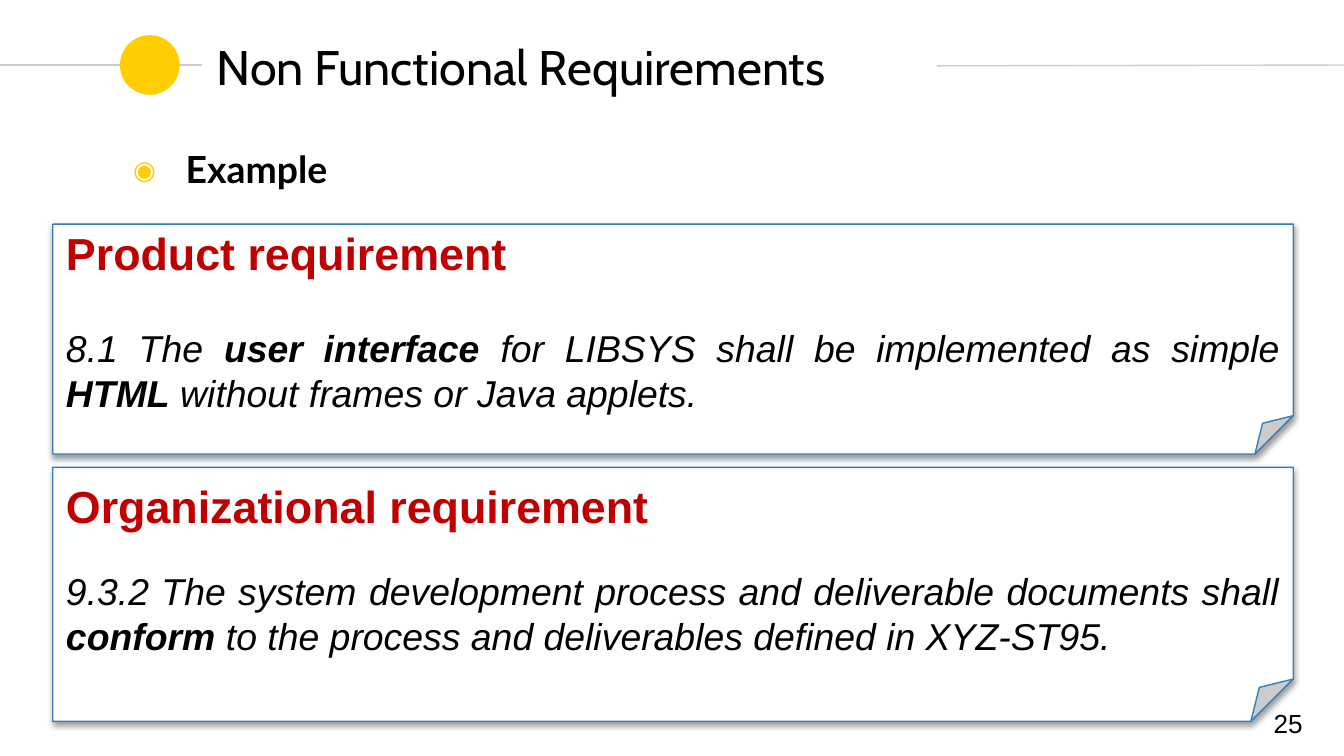
from lxml import etree
from pptx import Presentation
from pptx import util as u
from pptx.dml.color import RGBColor
from pptx.enum import shapes, text
from pptx.oxml import ns

COLUMN = ROW = u.Inches(0.1)
COLUMNS, ROWS = 100, 56.25
BLACK, YELLOW, RED, BLUE, GREY = "000000", "FFCD00", "C00000", "367EB9", "CCCCCC"

CARDS = [
    ((3.93, 16.68, 92.3, 17.1), 1.0, 24.5, "Product requirement",
     [("8.1 The ", False), ("user interface ", True),
      ("for LIBSYS shall be implemented as simple ", False),
      ("HTML", True), (" without frames or Java applets.", False)]),
    ((3.93, 34.77, 92.3, 18.9), 0.8, 19.5, "Organizational requirement",
     [("9.3.2 The system development process and deliverable documents shall ", False),
      ("conform", True),
      (" to the process and deliverables defined in XYZ-ST95.", False)]),
]


def color(value):
    return RGBColor.from_string(value)


def place(box):
    left, top, width, height = box
    return (round(left * COLUMN), round(top * ROW),
            round(width * COLUMN), round(height * ROW))


def add_xml(parent, tag, **attributes):
    return etree.SubElement(parent, ns.qn(tag), attributes)


def set_font(para, name, size, value, bold=None, italic=None):
    font = para.font
    font.name, font.size = name, u.Pt(size)
    font.bold, font.italic = bold, italic
    font.color.rgb = color(value)


def add_text(page, box, words, inset=0.1):
    frame = page.shapes.add_textbox(*place(box)).text_frame
    frame.word_wrap = True
    frame.margin_top = frame.margin_bottom = u.Inches(inset)
    para = frame.paragraphs[0]
    para.add_run().text = words
    return frame, para


def add_rule(page, start, end):
    (left, top), (right, bottom) = start, end
    x1, y1, x2, y2 = place((left, top, right, bottom))
    rule = page.shapes.add_connector(shapes.MSO_CONNECTOR.STRAIGHT, x1, y1, x2, y2)
    rule.line.color.rgb = color(GREY)
    rule.line.width = u.Pt(0.75)
    add_xml(rule._element.spPr, "a:effectLst")


def add_header(page, box):
    left, top, width, height = box
    middle = top + height / 2
    add_rule(page, (0, middle - 0.06), (left - 0.1, middle - 0.06))
    dot = page.shapes.add_shape(shapes.MSO_SHAPE.OVAL, *place((8.93, 2.62, 4.44, 4.44)))
    dot.shadow.inherit = False
    dot.fill.solid()
    dot.fill.fore_color.rgb = color(YELLOW)
    dot.line.fill.background()
    add_rule(page, (left + width, middle), (COLUMNS, middle - 0.06))
    frame, para = add_text(page, box, "Non Functional Requirements")
    frame.vertical_anchor = text.MSO_ANCHOR.MIDDLE
    set_font(para, "Cabin", 26, BLACK)


def add_bullet(page, box):
    _, para = add_text(page, box, "Example")
    para.line_spacing = 0.9
    para.space_before = u.Pt(6)
    props = para._p.get_or_add_pPr()
    indent = u.Inches(0.39)
    props.set("marL", str(indent))
    props.set("indent", str(-indent))
    add_xml(add_xml(props, "a:buClr"), "a:srgbClr", val=YELLOW)
    add_xml(props, "a:buSzPct", val="70000")
    add_xml(props, "a:buFont", typeface="Lato")
    add_xml(props, "a:buChar", char="◉")
    set_font(para, "Lato", 20, BLACK, bold=True)


def add_shadow(shape):
    shape.shadow.inherit = False
    effects = shape._element.spPr.find(ns.qn("a:effectLst"))
    shadow = add_xml(effects, "a:outerShdw", blurRad=str(u.Pt(3.1)),
                     dist=str(u.Pt(1.6)), dir="5400000", rotWithShape="0")
    add_xml(add_xml(shadow, "a:srgbClr", val=BLACK), "a:alpha", val="38000")


def add_card(page, box, spacing, gap, heading, spans):
    card = page.shapes.add_shape(shapes.MSO_SHAPE.FOLDED_CORNER, *place(box))
    card.fill.solid()
    card.fill.fore_color.rgb = color("FFFFFF")
    card.line.color.rgb = color(BLUE)
    card.line.width = u.Pt(0.75)
    add_shadow(card)
    frame = card.text_frame
    frame.word_wrap = True
    frame.vertical_anchor = text.MSO_ANCHOR.MIDDLE
    title, body = frame.paragraphs[0], frame.add_paragraph()
    title.alignment = body.alignment = text.PP_ALIGN.JUSTIFY
    title.line_spacing = spacing
    title.add_run().text = heading
    set_font(title, "Arial", 24, RED, bold=True)
    body.space_before = u.Pt(gap)
    set_font(body, "Arial", 20, BLACK, italic=True)
    for words, bold in spans:
        span = body.add_run()
        span.text = words
        span.font.bold = bold


def add_number(page, box):
    _, para = add_text(page, box, "25", inset=0.05)
    set_font(para, "Arial", 14, BLACK)


def main():
    deck = Presentation()
    deck.slide_width, deck.slide_height = place((0, 0, COLUMNS, ROWS))[2:]
    page = deck.slides.add_slide(deck.slide_layouts[6])
    add_header(page, (15.13, 2.5, 54.6, 4.8))
    add_bullet(page, (8.93, 10.25, 80.6, 5))
    add_number(page, (93.77, 52.12, 6.2, 3))
    for card in CARDS:
        add_card(page, *card)
    deck.save("out.pptx")


if __name__ == "__main__":
    main()
